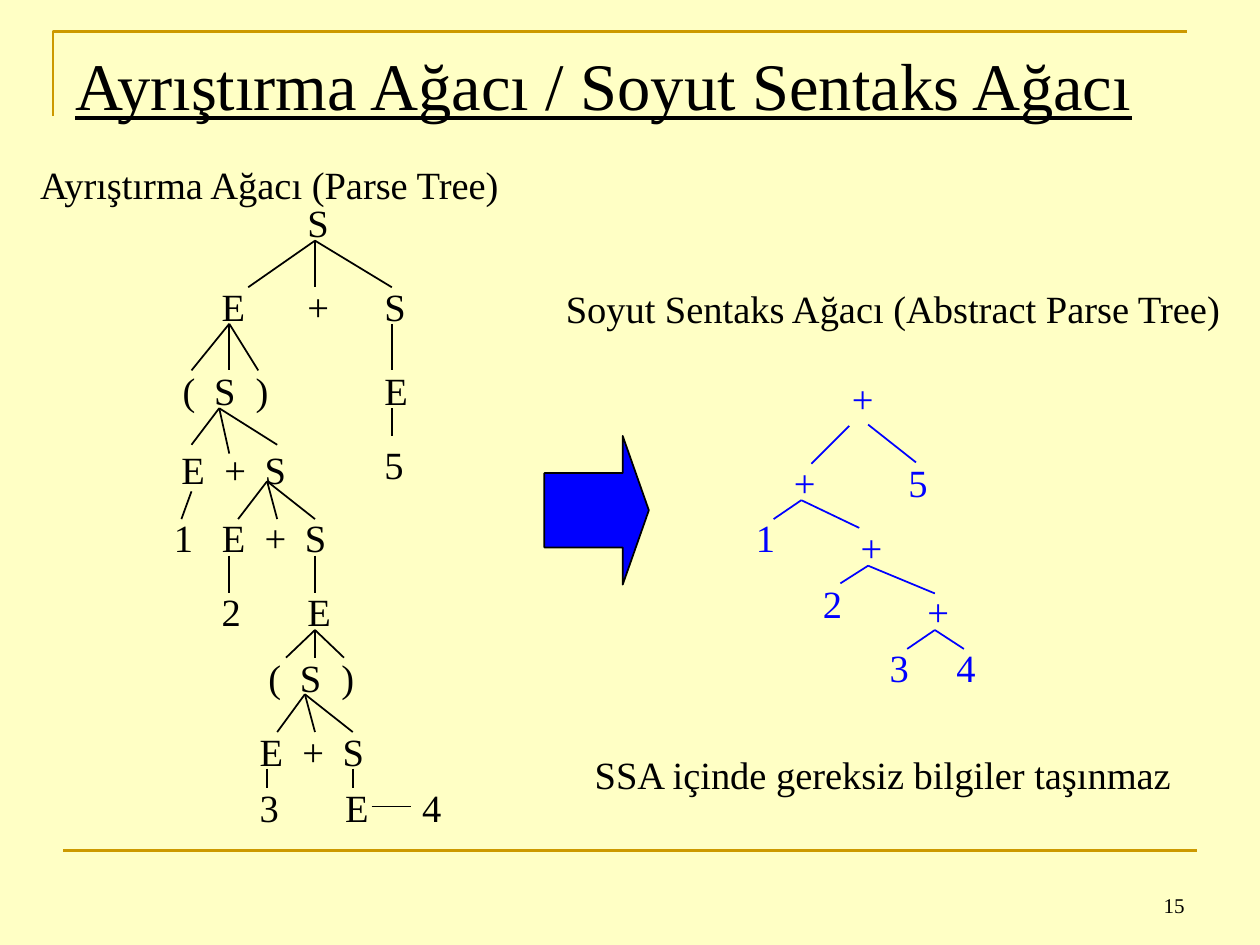
import pptx
import pptx.dml.color
import pptx.enum.shapes
import pptx.enum.text
import pptx.oxml.ns
import pptx.util
from lxml import etree
from pptx.util import Inches

BLACK, BLUE, GOLD, CREAM = "000000", "0000FF", "CC9900", "FFFFC5"
ROW_HEIGHT = 0.46
SYMBOL_WIDTHS = {"S": 0.35, "E": 0.37, "+": 0.35}
DIGIT_WIDTH = 0.33
# Production text: (box width, tab stops of its second and third symbol)
PRODUCTIONS = {"(\tS\t)": (0.86, (0.25, 0.58)), "E\t+\tS": (1.01, (0.34, 0.66))}


def rgb(code):
    return pptx.dml.color.RGBColor.from_string(code)


class TreeSlide:
    def __init__(self, slide):
        self.slide = slide
        self.font = {"name": "Times New Roman", "size": pptx.util.Pt(22)}
        slide.background.fill.solid()
        slide.background.fill.fore_color.rgb = rgb(CREAM)

    def text(self, content, left, top, width, height=ROW_HEIGHT, color=BLACK,
             font=None, frame=None, tabs=(), align=None):
        box = self.slide.shapes.add_textbox(*map(Inches, (left, top, width, height)))
        layout = {"word_wrap": False, "margin_left": Inches(0.09),
                  "margin_right": Inches(0.09), "margin_top": Inches(0.04),
                  "margin_bottom": Inches(0.04), **(frame or {})}
        for name, value in layout.items():
            setattr(box.text_frame, name, value)
        paragraph = box.text_frame.paragraphs[0]
        paragraph.text = content
        paragraph.alignment = align
        if tabs:
            self.add_tabs(paragraph, tabs)
        run_font = paragraph.runs[0].font
        for name, value in {**self.font, **(font or {})}.items():
            setattr(run_font, name, value)
        run_font.color.rgb = rgb(color)

    def add_tabs(self, paragraph, stops):
        qn = pptx.oxml.ns.qn
        tab_list = etree.SubElement(paragraph._p.get_or_add_pPr(), qn("a:tabLst"))
        for stop in stops:
            etree.SubElement(tab_list, qn("a:tab"), pos=str(Inches(stop)), algn="l")

    def node(self, symbol, left, top, color=BLACK):
        """Write one tree symbol, or a production of several symbols."""
        if symbol in PRODUCTIONS:
            width, tabs = PRODUCTIONS[symbol]
            self.text(symbol, left, top, width, color=color, tabs=tabs,
                      frame={"word_wrap": True, "margin_right": 0})
        else:
            self.text(symbol, left, top, SYMBOL_WIDTHS.get(symbol, DIGIT_WIDTH), color=color)

    def line(self, start, end, color=BLACK, weight=1):
        connector = self.slide.shapes.add_connector(
            pptx.enum.shapes.MSO_CONNECTOR.STRAIGHT, *map(Inches, (*start, *end)))
        connector.line.color.rgb = rgb(color)
        connector.line.width = pptx.util.Pt(weight)
        etree.SubElement(connector._element.spPr, pptx.oxml.ns.qn("a:effectLst"))

    def branches(self, parent, children, color=BLACK):
        for child in children:
            self.line(parent, child, color)

    def corner(self, points, color, weight):
        start, *rest = [tuple(map(Inches, point)) for point in points]
        builder = self.slide.shapes.build_freeform(*start)
        builder.add_line_segments(rest, close=False)
        outline = builder.convert_to_shape()
        outline.shadow.inherit = False
        outline.fill.background()
        outline.line.color.rgb = rgb(color)
        outline.line.width = pptx.util.Pt(weight)

    def arrow(self, left, top, width, height):
        arrow = self.slide.shapes.add_shape(
            pptx.enum.shapes.MSO_SHAPE.RIGHT_ARROW, *map(Inches, (left, top, width, height)))
        arrow.adjustments[0], arrow.adjustments[1] = 0.5, 0.25
        arrow.shadow.inherit = False
        arrow.fill.solid()
        arrow.fill.fore_color.rgb = rgb(BLUE)
        arrow.line.color.rgb = rgb(BLACK)
        arrow.line.width = pptx.util.Pt(1)


PARSE_NODES = [
    ("S", 2.35, 1.54),
    ("E", 1.67, 2.21), ("+", 2.35, 2.21), ("S", 2.96, 2.21),
    ("(\tS\t)", 1.36, 2.87), ("E", 2.96, 2.87),
    ("E\t+\tS", 1.35, 3.5), ("5", 2.96, 3.46),
    ("E\t+\tS", 1.67, 4.04), ("1", 1.29, 4.04),
    ("2", 1.67, 4.63), ("E", 2.35, 4.63),
    ("(\tS\t)", 2.04, 5.15), ("E\t+\tS", 1.97, 5.74),
    ("E", 2.65, 6.18), ("3", 1.97, 6.18), ("4", 3.26, 6.18),
]
PARSE_BRANCHES = [
    ((2.5, 1.91), [(1.97, 2.28), (2.5, 2.28), (3.11, 2.28)]),
    ((1.82, 2.57), [(1.52, 2.94), (1.82, 2.94), (2.05, 2.94)]),
    ((3.11, 2.57), [(3.11, 2.94)]),
    ((1.74, 3.24), [(1.52, 3.53), (1.82, 3.6), (2.2, 3.53)]),
    ((3.11, 3.24), [(3.11, 3.46)]),
    ((1.52, 3.9), [(1.44, 4.12)]),
    ((2.12, 3.82), [(1.89, 4.12), (2.2, 4.12), (2.5, 4.12)]),
    ((1.82, 4.41), [(1.82, 4.71)]),
    ((2.5, 4.41), [(2.5, 4.71)]),
    ((2.5, 5), [(2.27, 5.22), (2.5, 5.22), (2.73, 5.22)]),
    ((2.42, 5.51), [(2.2, 5.81), (2.5, 5.81), (2.8, 5.81)]),
    ((2.12, 6.1), [(2.12, 6.25)]),
    ((2.8, 6.1), [(2.8, 6.25)]),
    ((2.95, 6.4), [(3.26, 6.4)]),
]
SYNTAX_NODES = [
    ("+", 6.67, 2.94), ("+", 6.21, 3.6), ("+", 6.74, 4.12), ("+", 7.27, 4.63),
    ("1", 5.91, 4.04), ("2", 6.44, 4.56), ("3", 6.97, 5.07), ("4", 7.5, 5.07),
    ("5", 7.12, 3.6),
]
SYNTAX_BRANCHES = [
    ((6.74, 3.38), [(6.44, 3.68)]),
    ((6.89, 3.37), [(7.27, 3.67)]),
    ((6.36, 3.97), [(6.14, 4.12), (6.82, 4.19)]),
    ((6.89, 4.49), [(6.67, 4.63), (7.42, 4.71)]),
    ((7.42, 5), [(7.2, 5.15), (7.65, 5.15)]),
]


def main():
    deck = pptx.Presentation()
    deck.slide_width, deck.slide_height = Inches(10), Inches(7.5)
    page = TreeSlide(deck.slides.add_slide(deck.slide_layouts[6]))

    page.corner([(0.42, 0.92), (0.42, 0.25), (9.42, 0.25)], GOLD, 1.5)
    page.line((0.5, 6.75), (9.5, 6.75), GOLD, 1.5)
    wide_margins = {"margin_left": Inches(0.1), "margin_right": Inches(0.1),
                    "margin_top": Inches(0.05), "margin_bottom": Inches(0.05)}
    page.text("Ayrıştırma Ağacı / Soyut Sentaks Ağacı", 0.5, 0.3, 9, 1.25,
              font={"size": pptx.util.Pt(38), "underline": True},
              frame={**wide_margins, "word_wrap": True})

    for nodes, edges, color in ((PARSE_NODES, PARSE_BRANCHES, BLACK),
                                (SYNTAX_NODES, SYNTAX_BRANCHES, BLUE)):
        for symbol, left, top in nodes:
            page.node(symbol, left, top, color)
        for parent, children in edges:
            page.branches(parent, children, color)

    page.arrow(4.32, 3.46, 0.83, 1.18)
    page.text("Soyut Sentaks Ağacı (Abstract Parse Tree)", 4.4, 2.22, 5.41)
    page.text("SSA içinde gereksiz bilgiler taşınmaz", 4.63, 5.92, 4.77)
    page.text("Ayrıştırma Ağacı (Parse Tree)", 0.22, 1.23, 3.9, 0.47, frame=wide_margins)
    page.text("15", 7.17, 6.83, 2.33, 0.5, font={"size": pptx.util.Pt(12)},
              frame={**wide_margins, "word_wrap": True,
                     "vertical_anchor": pptx.enum.text.MSO_ANCHOR.BOTTOM},
              align=pptx.enum.text.PP_ALIGN.RIGHT)
    deck.save("out.pptx")


if __name__ == "__main__":
    main()
